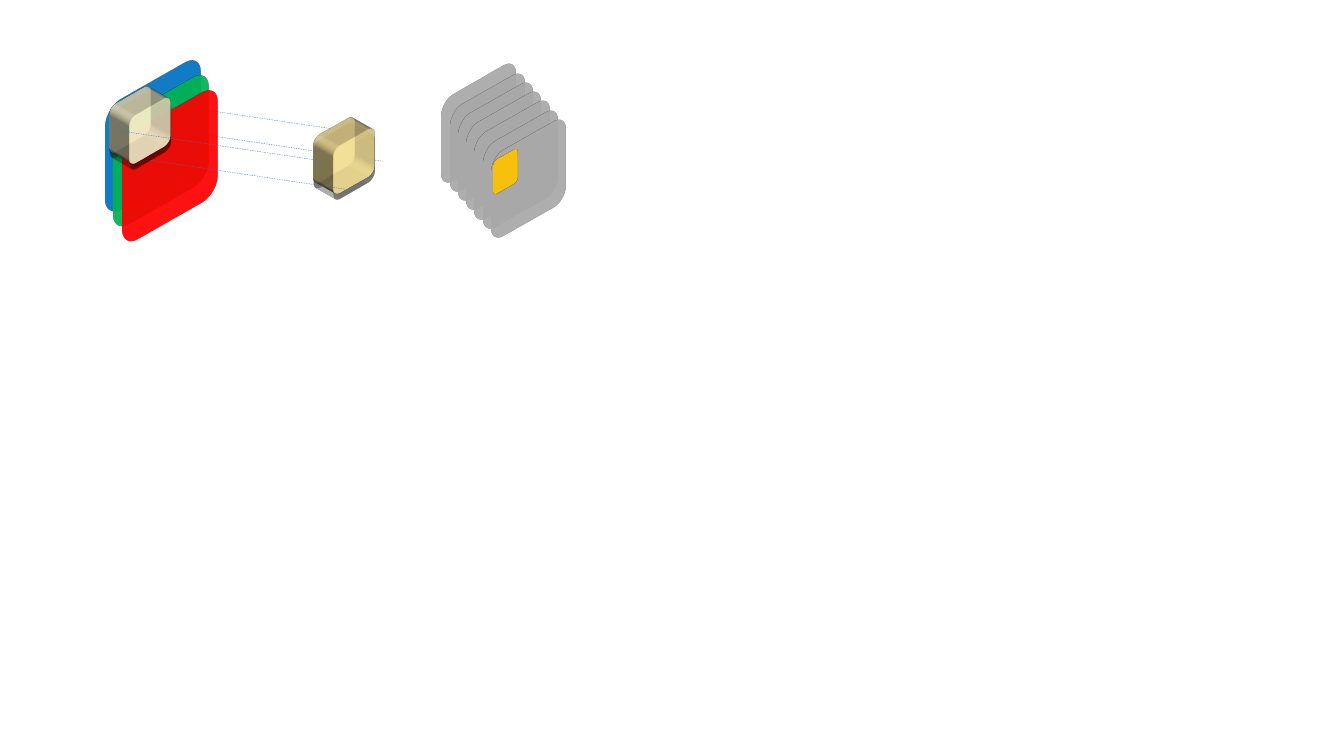
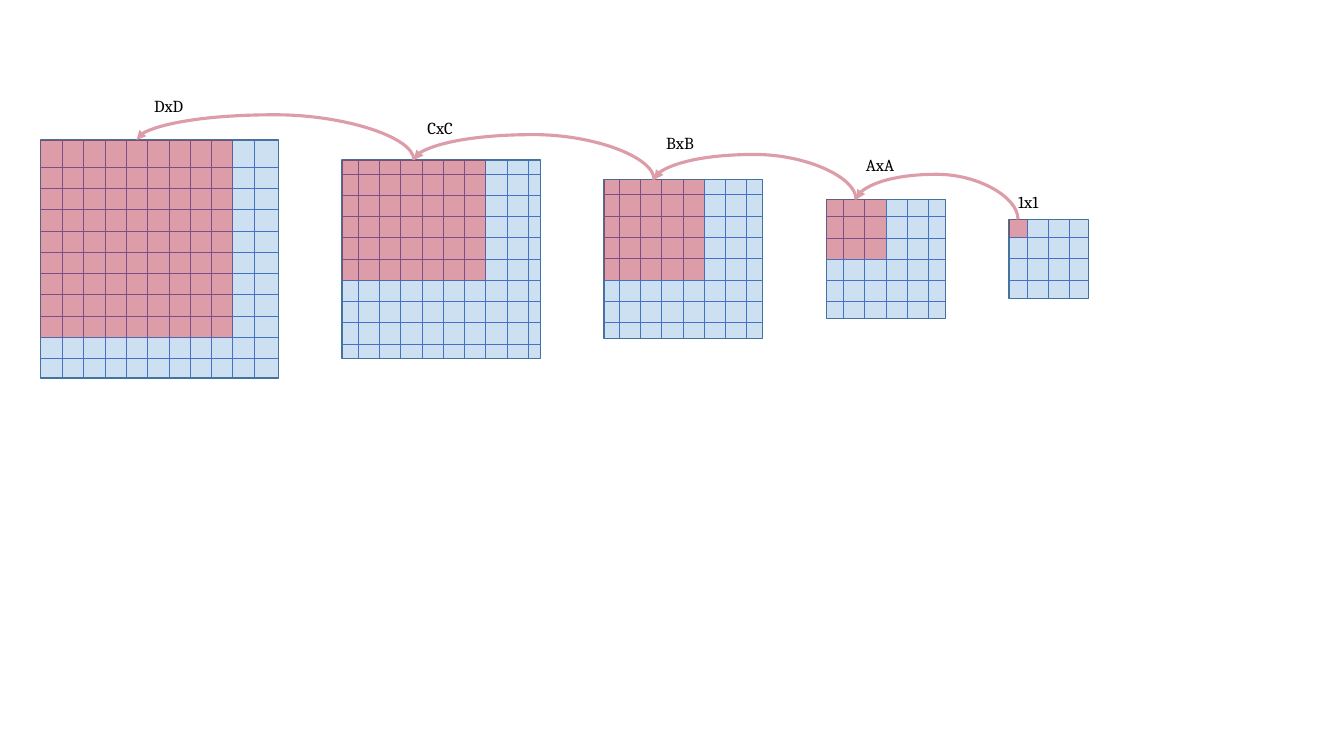
from dataclasses import dataclass
from math import ceil

from lxml import etree
from pptx import Presentation, util as u
from pptx.dml.color import RGBColor
from pptx.enum import dml, shapes, text
from pptx.oxml import ns


@dataclass(frozen=True)
class Theme:
    """Colours, type and line weights shared by the slides."""
    font: str = "Cambria"
    label_size: float = 12
    ink: str = "000000"
    guide: str = "4472C4"
    map_fill: str = "5B9BD5"
    map_edge: str = "43739E"
    window: str = "FF0000"
    arrow: str = "DC9DA9"
    filter_fill: str = "A6A6A6"
    filter_edge: str = "595959"
    chosen: str = "FFC000"
    hair: float = 0.25
    thin: float = 0.5
    edge: float = 1
    bold: float = 2.25


THEME = Theme()

# Slide 1: stacked channels, two kernels, stacked filters
CHANNELS = [("0070C0", "325491"), ("00B050", "548235"), ("FF0000", "FF0000")]
CHANNEL_START, CHANNEL_STEP, CHANNEL_SIZE = (0.85, 0.68), (0.085, 0.15), 1.33
FILTER_COUNT = 7
FILTER_START, FILTER_STEP, FILTER_SIZE = (4.23, 0.7), (0.082, 0.092), 1.04
KERNELS = [(1.2, 1.01, "FFF2CC"), (3.22, 1.31, "FFE699")]
KERNEL_SIZE, KERNEL_DEPTH = 0.58, 20
CHOSEN_BOX = (4.84, 1.5, 0.34, 0.41)
RAYS_BEHIND = [(0.5, 0), (1, 0.5)]
RAYS_IN_FRONT = [(0.5, 1), (0, 0.5)]

# Slide 2: units of size, first line offsets, window columns and rows, label and its place
MAPS = [
    (6, 0.22, 0.27, 9, 9, "DxD", 1.43, 0.9),
    (5, 0.16, 0.14, 7, 6, "CxC", 4.14, 1.12),
    (4, 0.15, 0.15, 5, 5, "BxB", 6.51, 1.27),
    (3, 0.17, 0.17, 3, 3, "AxA", 8.49, 1.49),
    (2, 0.18, 0.18, 1, 1, "1x1", 10, 1.85),
]
MAP_UNIT = 1 / 2.54
MAP_LEFT, MAP_GAP, MAP_MIDDLE = 0.4, 0.63, 2.57
CELL = 0.211
ARROW_RISE = 0.25


def child(parent, tag, **attributes):
    """Append a DrawingML element and return it."""
    element = etree.SubElement(parent, ns.qn("a:" + tag))
    for key, value in attributes.items():
        element.set(key, str(value))
    return element


def add_panel(slide, box, fill, opacity, edge=None, rounding=None,
              preset=shapes.MSO_SHAPE.ROUNDED_RECTANGLE):
    """Draw a translucent panel, outlined when an edge colour is given."""
    panel = slide.shapes.add_shape(preset, *map(u.Inches, box))
    panel.shadow.inherit = False
    panel.fill.solid()
    panel.fill.fore_color.rgb = RGBColor.from_string(fill)
    color = panel.fill._xPr.find(ns.qn("a:solidFill"))[0]
    child(color, "alpha", val=opacity * 1000)
    if edge:
        panel.line.color.rgb = RGBColor.from_string(edge)
        panel.line.width = u.Pt(THEME.edge)
    else:
        panel.line.fill.background()
    if rounding is not None:
        panel.adjustments[0] = rounding
    return panel


def tilt(panel, depth=0):
    """Turn a panel to the isometric view, with a depth in points."""
    properties = panel._element.spPr
    scene = child(properties, "scene3d")
    child(scene, "camera", prst="isometricRightUp")
    child(scene, "lightRig", rig="threePt", dir="t")
    if depth:
        child(properties, "sp3d", extrusionH=u.Pt(depth))


def cast_shadow(panel):
    """Give a panel a soft shadow just below it."""
    effects = panel._element.spPr.find(ns.qn("a:effectLst"))
    shadow = child(effects, "outerShdw", blurRad=u.Pt(17.8), dist=u.Pt(4),
                   dir=87 * 60000, algn="ctr", rotWithShape=0)
    child(child(shadow, "srgbClr", val=THEME.ink), "alpha", val=33000)


def add_line(slide, start, end, color, width, dash=None,
             kind=shapes.MSO_CONNECTOR.STRAIGHT):
    """Draw a connector without a shadow."""
    line = slide.shapes.add_connector(kind, *map(u.Inches, (*start, *end)))
    line.line.color.rgb = RGBColor.from_string(color)
    line.line.width = u.Pt(width)
    if dash:
        line.line.dash_style = dash
    child(line._element.spPr, "effectLst")
    return line


def add_arc(slide, start, end):
    """Draw an arrow that rises from end and lands on start."""
    run, drop = end[0] - start[0], end[1] - start[1]
    x, y = (start[0] + end[0]) / 2, (start[1] + end[1]) / 2
    arc = add_line(slide, (x + drop / 2, y - run / 2), (x - drop / 2, y + run / 2),
                   THEME.arrow, THEME.bold, kind=shapes.MSO_CONNECTOR.CURVE)
    properties = arc._element.spPr
    properties.find(ns.qn("a:xfrm")).set("rot", str(270 * 60000))
    geometry = properties.find(ns.qn("a:prstGeom"))
    guides = geometry.find(ns.qn("a:avLst"))
    if guides is None:
        guides = child(geometry, "avLst")
    child(guides, "gd", name="adj1", fmla=f"val {round(-ARROW_RISE / drop * 100000)}")
    child(properties.find(ns.qn("a:ln")), "headEnd", type="triangle")


def add_text(slide, words, box, size=THEME.label_size, color=THEME.ink, font=THEME.font):
    """Write one line of text."""
    label = slide.shapes.add_textbox(*map(u.Inches, box))
    frame = label.text_frame
    frame.word_wrap = False
    frame.auto_size = text.MSO_AUTO_SIZE.SHAPE_TO_FIT_TEXT
    run = frame.paragraphs[0].add_run()
    run.text = words
    run.font.size, run.font.name = u.Pt(size), font
    run.font.color.rgb = RGBColor.from_string(color)


def add_stack(slide, colors, start, step, size):
    """Draw tilted square plates, each one step in front of the last."""
    for i, (fill, edge) in enumerate(colors):
        corner = [origin + i * shift for origin, shift in zip(start, step)]
        tilt(add_panel(slide, (*corner, size, size), fill, 50, edge))


def add_rays(slide, anchors):
    """Join matching points on the two kernels."""
    for across, down in anchors:
        ends = [(x + across * KERNEL_SIZE, y + down * KERNEL_SIZE) for x, y, _ in KERNELS]
        add_line(slide, *ends, THEME.guide, THEME.hair, dml.MSO_LINE.DASH)


def build_convolution(slide):
    """Show a kernel passing from the channels to the filters."""
    add_rays(slide, RAYS_BEHIND)
    add_stack(slide, CHANNELS, CHANNEL_START, CHANNEL_STEP, CHANNEL_SIZE)
    filters = [(THEME.filter_fill, THEME.filter_edge)] * FILTER_COUNT
    add_stack(slide, filters, FILTER_START, FILTER_STEP, FILTER_SIZE)
    for x, y, fill in KERNELS:
        kernel = add_panel(slide, (x, y, KERNEL_SIZE, KERNEL_SIZE), fill, 50)
        cast_shadow(kernel)
        tilt(kernel, KERNEL_DEPTH)
    add_rays(slide, RAYS_IN_FRONT)
    tilt(add_panel(slide, CHOSEN_BOX, THEME.chosen, 50, THEME.filter_edge))


def add_map(slide, left, top, size, first_x, first_y, columns, rows):
    """Draw a ruled map with its window; return the window's top centre."""
    add_panel(slide, (left, top, size, size), THEME.map_fill, 30, THEME.map_edge, rounding=0)
    right, bottom = left + size, top + size
    for i in range(ceil((size - first_x) / CELL - 0.25)):
        x = left + first_x + i * CELL
        add_line(slide, (x, bottom), (x, top), THEME.guide, THEME.thin)
    for i in range(ceil((size - first_y) / CELL - 0.25)):
        y = top + first_y + i * CELL
        add_line(slide, (right, y), (left, y), THEME.guide, THEME.thin)
    width = first_x + (columns - 1) * CELL
    height = first_y + (rows - 1) * CELL
    add_panel(slide, (left, top, width, height), THEME.window, 30,
              preset=shapes.MSO_SHAPE.RECTANGLE)
    return left + width / 2, top


def build_receptive_field(slide):
    """Show the window growing from map to map."""
    left, peaks = MAP_LEFT, []
    for units, first_x, first_y, columns, rows, *_ in MAPS:
        size = units * MAP_UNIT
        peaks.append(add_map(slide, left, MAP_MIDDLE - size / 2, size,
                             first_x, first_y, columns, rows))
        left += size + MAP_GAP
    for start, end in zip(peaks, peaks[1:]):
        add_arc(slide, start, end)
    for *_, words, x, y in MAPS:
        add_text(slide, words, (x, y, 0.5, 0.3))


deck = Presentation()
deck.slide_width, deck.slide_height = u.Inches(13.33), u.Inches(7.5)
for build in (build_convolution, build_receptive_field):
    build(deck.slides.add_slide(deck.slide_layouts[6]))
deck.save("out.pptx")
